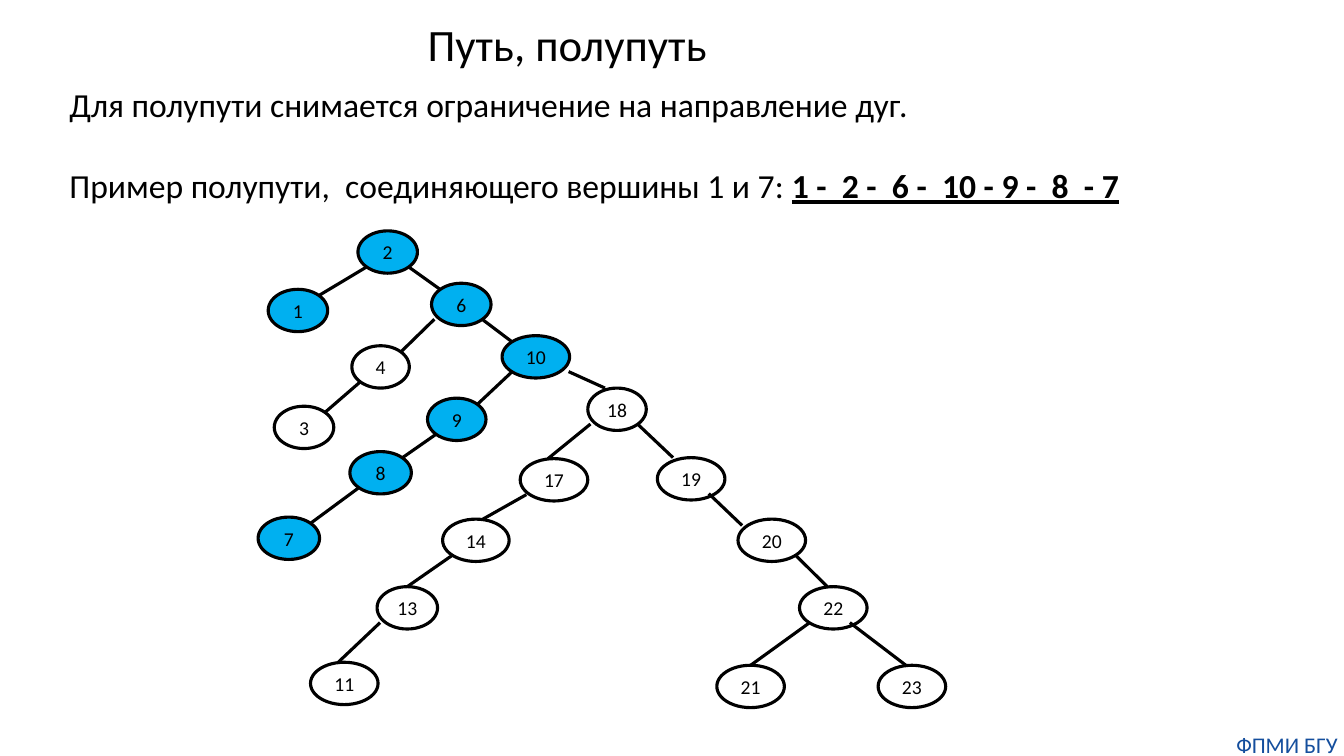
from pptx import Presentation
from pptx.dml.color import RGBColor
from pptx.enum.shapes import MSO_CONNECTOR as CONN, MSO_SHAPE as SHAPE
from pptx.enum.text import MSO_ANCHOR as ANCHOR, MSO_AUTO_SIZE as AUTOSIZE, PP_ALIGN as ALIGN
from pptx.oxml.ns import qn
from pptx.util import Inches, Pt

WIDTH, HEIGHT = 13.33, 7.5
FONT = "Calibri"
COLORS = {"ink": "000000", "visited": "00B0F0", "footer": "144E9D"}

TITLE_BOX = (4.14, 0.12, 3.09, 0.64)
BODY_BOX = (0.59, 0.78, WIDTH - 0.59, 1.31)
TREE_BOX = (2.56, 2.29, 6.82, 4.73)
FOOTER_BOX = (WIDTH - 1.13, HEIGHT - 0.25, 1.13, 0.27)

NODE_HEIGHT = 0.42
SEMIPATH = (1, 2, 6, 10, 9, 8, 7)
NODES = {
    2: (0.99, 0, 0.59), 1: (0.1, 0.58, 0.59), 6: (1.72, 0.52, 0.59),
    4: (0.93, 1.14, 0.57), 3: (0.16, 1.74, 0.59), 10: (2.42, 1.04, 0.67),
    9: (1.68, 1.66, 0.58), 8: (0.91, 2.19, 0.61), 7: (0, 2.84, 0.61),
    18: (3.27, 1.56, 0.58), 17: (2.6, 2.26, 0.67), 14: (1.83, 2.86, 0.66),
    13: (1.18, 3.53, 0.6), 11: (0.52, 4.28, 0.67), 19: (3.96, 2.25, 0.67),
    20: (4.76, 2.86, 0.67), 22: (5.37, 3.53, 0.67), 21: (4.55, 4.31, 0.67),
    23: (6.15, 4.31, 0.67),
}
SITES = {
    "top": (0.5, 0), "top_left": (0.15, 0.15), "top_right": (0.85, 0.15),
    "bottom_left": (0.15, 0.85), "bottom_right": (0.85, 0.85),
}
LEFT_EDGES = [
    (2, 1, "top_right", 0, 0), (6, 4, "top_right", -0.06, 0),
    (4, 3, "top_right", 0, 0), (10, 9, "top_right", 0, 0),
    (9, 8, "top_right", 0, 0), (8, 7, "top_right", 0, 0),
    (18, 17, "top", -0.06, -0.06), (17, 14, "top", -0.04, 0.07),
    (14, 13, "top", 0, 0), (13, 11, "top", -0.06, -0.06),
    (22, 21, "top", 0, 0),
]
RIGHT_EDGES = [
    (2, 6, "top_left", 0, 0), (6, 10, "top_left", 0, 0),
    (10, 18, "top", 0.09, -0.12), (18, 19, "top", 0, -0.18),
    (19, 20, "top_left", -0.06, -0.06), (20, 22, "top", 0, -0.06),
    (22, 23, "top", -0.07, -0.06),
]


def rgb(name):
    return RGBColor.from_string(COLORS[name])


def format_text(p, size, color="ink", align=ALIGN.LEFT):
    p.alignment = align
    p.font.name, p.font.size = FONT, Pt(size)
    p.font.color.rgb = rgb(color)


def add_title(slide, box):
    title = slide.shapes.title
    title.left, title.top, title.width, title.height = map(Inches, box)
    tf = title.text_frame
    tf.text = "Путь, полупуть"
    tf.word_wrap = False
    tf.auto_size = AUTOSIZE.NONE
    tf.vertical_anchor = ANCHOR.TOP
    format_text(tf.paragraphs[0], 32)


def add_body(slide, box):
    tf = slide.shapes.add_textbox(*map(Inches, box)).text_frame
    tf.word_wrap = True
    rule = tf.paragraphs[0]
    rule.text = "Для полупути снимается ограничение на направление дуг."
    example = tf.add_paragraph()
    example.space_before = Pt(29.3)
    example.add_run().text = "Пример полупути,  соединяющего вершины 1 и 7: "
    r = example.add_run()
    r.text = "1 -  2 -  6 -  10 - 9 -  8  - 7"
    r.font.bold = r.font.underline = True
    for p in (rule, example):
        format_text(p, 24)


def add_node(slide, box, number):
    left, top, width = NODES[number]
    sp = slide.shapes.add_shape(
        SHAPE.OVAL, Inches(box[0] + left), Inches(box[1] + top),
        Inches(width), Inches(NODE_HEIGHT))
    sp.shadow.inherit = False
    if number in SEMIPATH:
        sp.fill.solid()
        sp.fill.fore_color.rgb = rgb("visited")
    else:
        sp.fill.background()
    sp.line.color.rgb = rgb("ink")
    sp.line.width = Pt(2.25)
    tf = sp.text_frame
    tf.margin_left = tf.margin_right = 0
    tf.word_wrap = False
    tf.vertical_anchor = ANCHOR.MIDDLE
    tf.text = str(number)
    format_text(tf.paragraphs[0], 14, align=ALIGN.CENTER)


def site_point(box, number, site, shift):
    left, top, width = NODES[number]
    x, y = SITES[site]
    return (Inches(box[0] + left + x * width + shift),
            Inches(box[1] + top + y * NODE_HEIGHT))


def add_edge(slide, start, end):
    line = slide.shapes.add_connector(CONN.STRAIGHT, *start, *end)
    line.line.color.rgb = rgb("ink")
    line.line.width = Pt(2.25)
    sp_pr = line._element.spPr
    sp_pr.append(sp_pr.makeelement(qn("a:effectLst"), {}))


def add_tree(slide, box):
    for number in NODES:
        add_node(slide, box, number)
    for exit_site, edges in (("bottom_left", LEFT_EDGES), ("bottom_right", RIGHT_EDGES)):
        for parent, child, entry_site, start_shift, end_shift in edges:
            add_edge(slide, site_point(box, parent, exit_site, start_shift),
                     site_point(box, child, entry_site, end_shift))


def add_footer(slide, box):
    tf = slide.shapes.add_textbox(*map(Inches, box)).text_frame
    tf.margin_left = tf.margin_right = tf.margin_top = tf.margin_bottom = 0
    tf.word_wrap = True
    tf.text = "ФПМИ БГУ"
    format_text(tf.paragraphs[0], 16, "footer", ALIGN.CENTER)


def main():
    prs = Presentation()
    prs.slide_width, prs.slide_height = Inches(WIDTH), Inches(HEIGHT)
    slide = prs.slides.add_slide(prs.slide_layouts[5])
    add_tree(slide, TREE_BOX)
    add_body(slide, BODY_BOX)
    add_footer(slide, FOOTER_BOX)
    add_title(slide, TITLE_BOX)
    prs.save("out.pptx")


if __name__ == "__main__":
    main()
